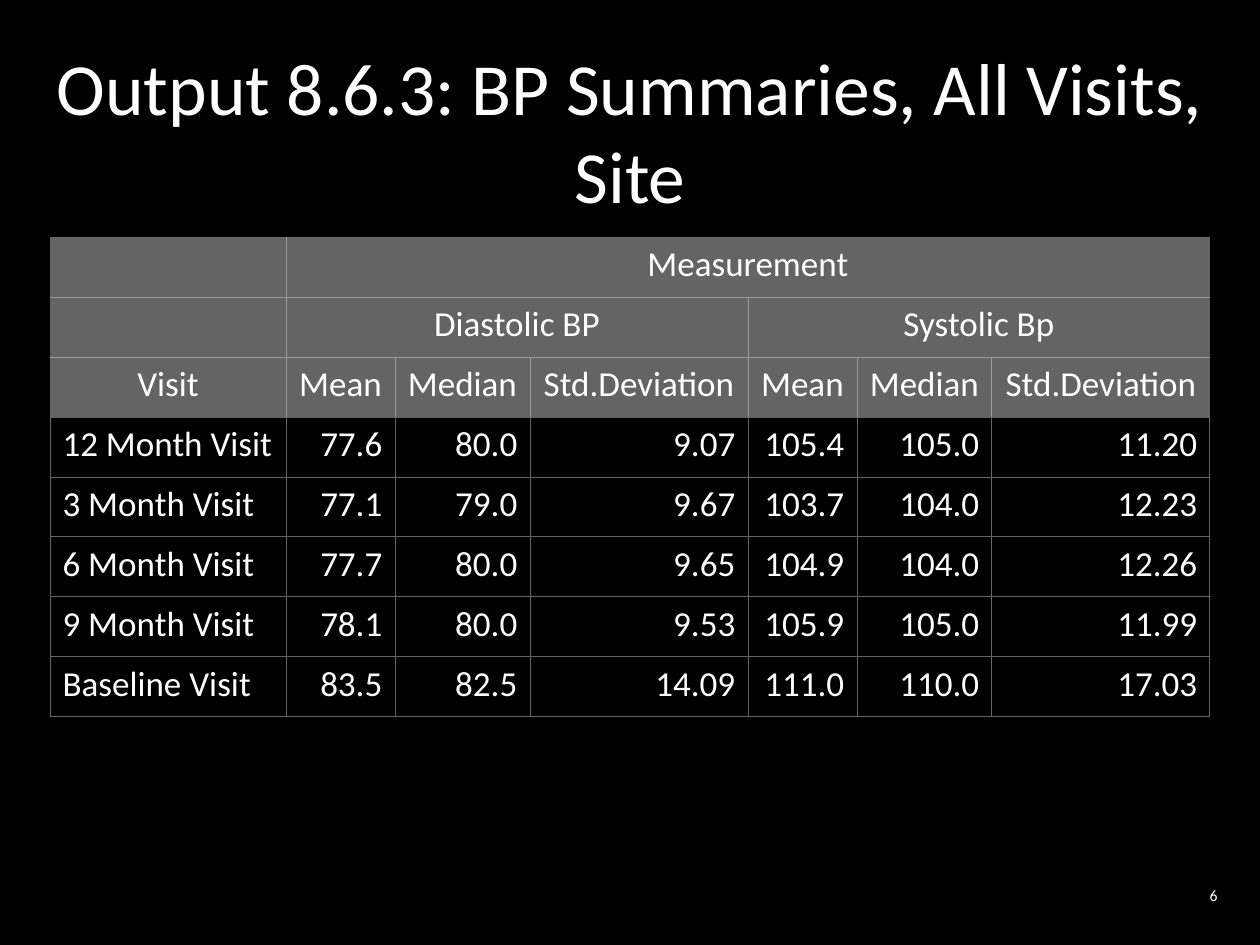
from lxml.etree import SubElement
from pptx import Presentation
from pptx.dml.color import RGBColor
from pptx.enum.text import MSO_ANCHOR as Anchor, PP_ALIGN as Align
from pptx.oxml.ns import qn
from pptx.util import Emu, Pt

WHITE = RGBColor(0xFF, 0xFF, 0xFF)
BLACK = RGBColor(0x00, 0x00, 0x00)
GREY = RGBColor(0x64, 0x64, 0x64)
LIGHT_GREY = RGBColor(0x9B, 0x9B, 0x9B)
FONT = "Calibri"
SCALE = 914400 / 126


def box(*lengths):
    """Turn px lengths into EMU."""
    return [Emu(round(length * SCALE)) for length in lengths]


def add_run(paragraph, text, size, align):
    paragraph.alignment = align
    run = paragraph.add_run()
    run.text = text
    run.font.name = FONT
    run.font.size = Pt(size)
    run.font.color.rgb = WHITE


prs = Presentation()
prs.slide_width, prs.slide_height = box(1260, 945)
slide = prs.slides.add_slide(prs.slide_layouts[5])
slide.background.fill.solid()
slide.background.fill.fore_color.rgb = BLACK

# Title
title = slide.shapes.title
title.left, title.top, title.width, title.height = box(32, 32, 1196, 196)
title.text_frame.vertical_anchor = Anchor.MIDDLE
heading = title.text_frame.paragraphs[0]
add_run(heading, "Output 8.6.3: BP Summaries, All Visits,", 42, Align.CENTER)
heading.add_line_break()
add_run(heading, "Site", 42, Align.CENTER)

# Blood pressure table
STATISTICS = ["Mean", "Median", "Std.Deviation"]
HEADER_ROWS = 3
rows = [
    ["", "Measurement", "", "", "", "", ""],
    ["", "Diastolic BP", "", "", "Systolic Bp", "", ""],
    ["Visit"] + STATISTICS * 2,
    ["12 Month Visit", "77.6", "80.0", "9.07", "105.4", "105.0", "11.20"],
    ["3 Month Visit", "77.1", "79.0", "9.67", "103.7", "104.0", "12.23"],
    ["6 Month Visit", "77.7", "80.0", "9.65", "104.9", "104.0", "12.26"],
    ["9 Month Visit", "78.1", "80.0", "9.53", "105.9", "105.0", "11.99"],
    ["Baseline Visit", "83.5", "82.5", "14.09", "111.0", "110.0", "17.03"],
]
column_widths = box(236, *[109, 135, 218] * 2)
last_column = len(column_widths) - 1

summary = slide.shapes.add_table(
    len(rows), len(column_widths), *box(50, 237, 1160, 480)).table
summary.first_row = summary.horz_banding = False
for column, width in zip(summary.columns, column_widths):
    column.width = width
for row in summary.rows:
    row.height = box(60)[0]
for row, first, last in [(0, 1, 6), (1, 1, 3), (1, 4, 6)]:
    summary.cell(row, first).merge(summary.cell(row, last))

for r, texts in enumerate(rows):
    is_header = r < HEADER_ROWS
    for c, text in enumerate(texts):
        cell = summary.cell(r, c)
        if is_header:
            align = Align.CENTER
            cell.fill.solid()
            cell.fill.fore_color.rgb = GREY
        else:
            align = Align.LEFT if c == 0 else Align.RIGHT
            cell.fill.background()
        if text:
            add_run(cell.text_frame.paragraphs[0], text, 20, align)

        # Header cells have light inner edges; all other edges are grey
        on_outside = {
            "a:lnL": c == 0,
            "a:lnR": c + cell.span_width - 1 == last_column,
            "a:lnT": r == 0,
            "a:lnB": False,
        }
        properties = cell._tc.get_or_add_tcPr()
        for position, (edge, outside) in enumerate(on_outside.items()):
            color = LIGHT_GREY if is_header and not outside else GREY
            line = SubElement(properties, qn(edge), w=str(Pt(0.5)))
            SubElement(SubElement(line, qn("a:solidFill")),
                       qn("a:srgbClr"), val=str(color))
            properties.insert(position, line)

# Slide number
number = slide.shapes.add_textbox(*box(930, 877, 300, 37)).text_frame
number.word_wrap = True
number.vertical_anchor = Anchor.MIDDLE
add_run(number.paragraphs[0], "6", 9, Align.RIGHT)

prs.save("out.pptx")
